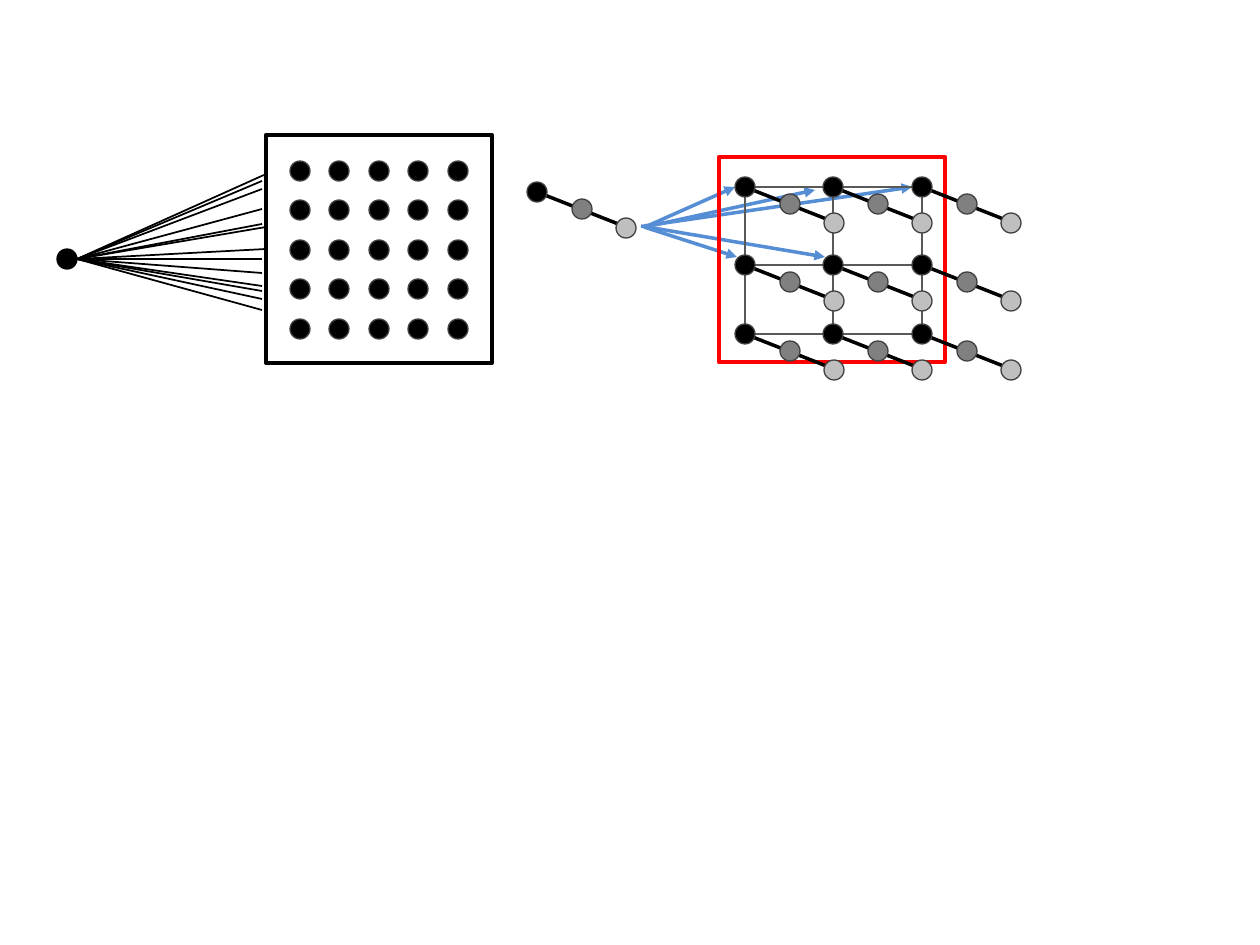
from lxml import etree
from pptx import Presentation
from pptx.dml.color import RGBColor
from pptx.enum.shapes import MSO_CONNECTOR as Connector, MSO_SHAPE as Shape
from pptx.oxml.ns import qn
from pptx.util import Pt

SCALE = 914400 / 126
RADIUS = 10
COLORS = {
    "black": "000000", "dark": "404040", "wire": "595959",
    "mid": "808080", "light": "BFBFBF", "red": "FF0000", "blue": "558ED5",
}


def px(length):
    return round(length * SCALE)


def paint_line(line, color, width):
    line.color.rgb = RGBColor.from_string(COLORS[color])
    line.width = Pt(width)


def add_line(shapes, start, end, color, width, arrow=False):
    points = [px(value) for value in (*start, *end)]
    connector = shapes.add_connector(Connector.STRAIGHT, *points)
    paint_line(connector.line, color, width)
    properties = connector._element.spPr
    if arrow:
        outline = properties.find(qn("a:ln"))
        etree.SubElement(outline, qn("a:tailEnd"), type="triangle")
    etree.SubElement(properties, qn("a:effectLst"))


def add_frame(shapes, left, top, width, height, color):
    box = [px(value) for value in (left, top, width, height)]
    frame = shapes.add_shape(Shape.RECTANGLE, *box)
    frame.shadow.inherit = False
    frame.fill.background()
    paint_line(frame.line, color, 2.5)


def add_dot(shapes, x, y, fill="black", outline="dark"):
    dot = shapes.add_shape(Shape.OVAL, px(x - RADIUS), px(y - RADIUS),
                           px(2 * RADIUS), px(2 * RADIUS))
    dot.shadow.inherit = False
    dot.fill.solid()
    dot.fill.fore_color.rgb = RGBColor.from_string(COLORS[fill])
    paint_line(dot.line, outline, 0.75)


def add_chain(shapes, x, y):
    """A black, a grey and a light dot on one sloping line."""
    add_line(shapes, (x, y), (x + 89, y + 35), "black", 2)
    for dx, dy, fill in ((0, 0, "black"), (45, 17, "mid"), (89, 36, "light")):
        add_dot(shapes, x + dx, y + dy, fill)


def add_dot_field(shapes):
    """A framed field of five by five dots."""
    add_frame(shapes, 266, 135, 226, 228, "black")
    steps = [158 * index // 4 for index in range(5)]
    for dy in steps:
        for dx in steps:
            add_dot(shapes, 300 + dx, 171 + dy)


def add_fan(shapes):
    """A single dot with rays to the left side of the dot field."""
    add_dot(shapes, 67, 259, outline="black")
    ends = [(264, 175), (262, 181), (266, 249), (262, 310), (262, 189),
            (262, 209), (266, 227), (262, 224), (262, 259), (262, 299),
            (262, 291), (262, 286), (262, 273)]
    for end in ends:
        add_line(shapes, (77, 259), end, "black", 1)


def add_wires(shapes, columns, rows):
    """Grid lines that join the chain heads."""
    for x in columns:
        add_line(shapes, (x, rows[0] + RADIUS), (x, rows[-1] - RADIUS), "wire", 1.5)
    for y in rows:
        add_line(shapes, (columns[0] + RADIUS, y), (columns[-1] - RADIUS, y), "wire", 1.5)


def main():
    deck = Presentation()
    deck.slide_width, deck.slide_height = px(1260), px(945)
    shapes = deck.slides.add_slide(deck.slide_layouts[6]).shapes
    columns, rows = (745, 833, 922), (187, 265, 334)

    # Arrows from the lone chain to the grid
    arrows = [((645, 227), (815, 190)), ((644, 226), (912, 187)),
              ((645, 227), (735, 187)), ((644, 227), (737, 257)),
              ((641, 226), (825, 257))]
    for start, end in arrows:
        add_line(shapes, start, end, "blue", 2, arrow=True)

    # Red frame and grid lines
    add_frame(shapes, 719, 157, 226, 205, "red")
    add_wires(shapes, columns, rows)

    # Dot field and the rays that reach it
    add_dot_field(shapes.add_group_shape().shapes)
    add_fan(shapes)

    # Lone chain, then one group of chains for each grid row
    add_chain(shapes.add_group_shape().shapes, 537, 192)
    for y in rows:
        group = shapes.add_group_shape()
        for x in columns:
            add_chain(group.shapes, x, y)

    deck.save("out.pptx")


if __name__ == "__main__":
    main()
